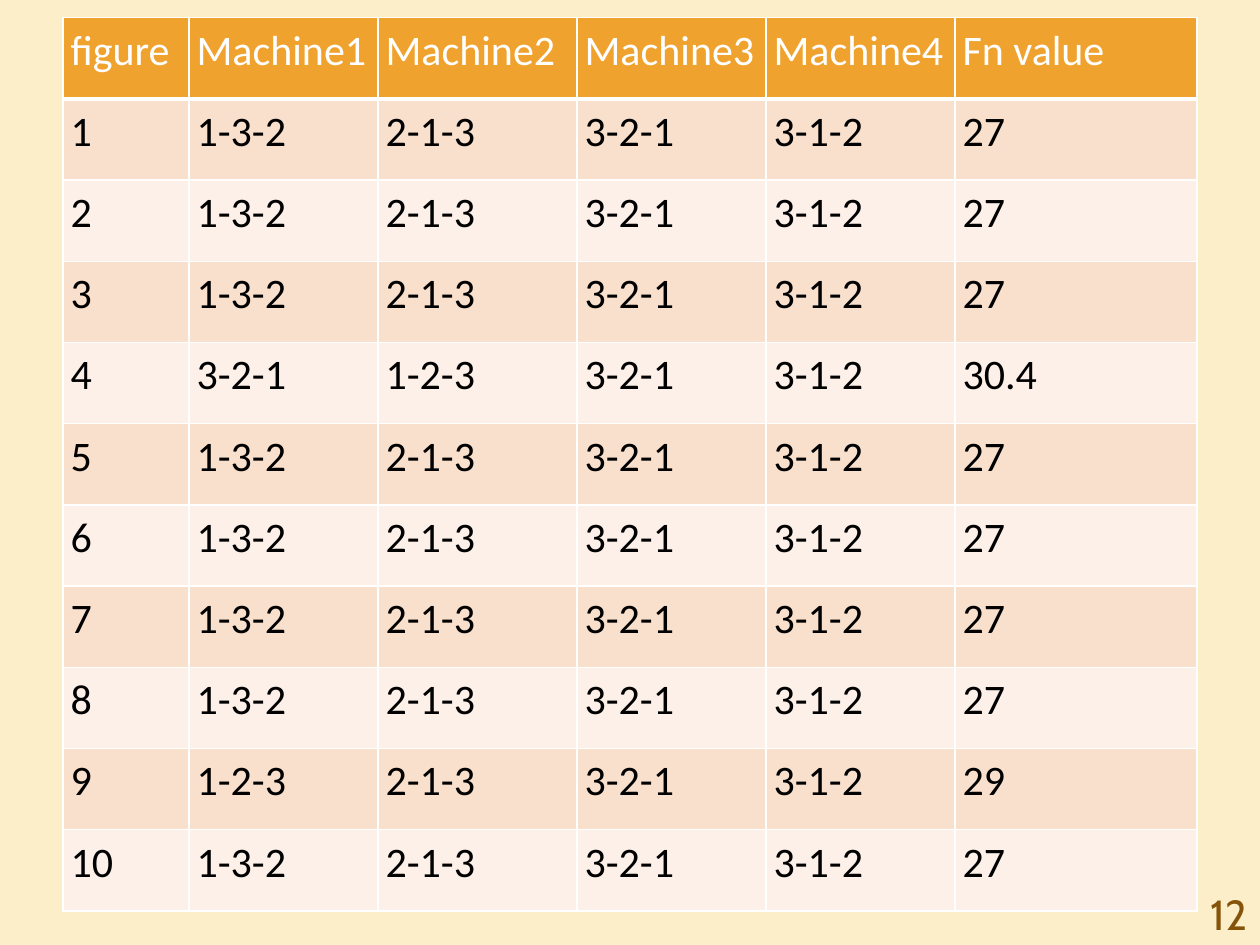
from dataclasses import dataclass

from lxml.etree import SubElement
from pptx import Presentation
from pptx.dml.color import RGBColor
from pptx.enum.text import MSO_ANCHOR, PP_ALIGN
from pptx.oxml.ns import qn
from pptx.util import Inches, Pt


@dataclass(frozen=True)
class Theme:
    """Colours, fonts and type size of the slide."""
    background: str = "FBEEC9"
    header: str = "F0A22E"
    bands: tuple = ("F9E0CD", "FCF0E8")
    rule: str = "FFFFFF"
    header_text: str = "FFFFFF"
    body_text: str = "000000"
    number: str = "85540A"
    table_font: str = "Calibri"
    number_font: str = "Cabin"
    size: int = 24


THEME = Theme()
HEADINGS = ["figure", "Machine1", "Machine2", "Machine3", "Machine4", "Fn value"]
COLUMN_WIDTHS = [1, 1.5, 1.58, 1.5, 1.5, 1.92]
USUAL = ("1-3-2", "2-1-3", "3-2-1", "3-1-2", "27")
EXCEPTIONS = {
    4: ("3-2-1", "1-2-3", "3-2-1", "3-1-2", "30.4"),
    9: ("1-2-3", "2-1-3", "3-2-1", "3-1-2", "29"),
}
ROWS = [(str(n), *EXCEPTIONS.get(n, USUAL)) for n in range(1, 11)]


def write(tf, text, font, color, align=PP_ALIGN.LEFT):
    """Put one formatted run of text in a text frame."""
    p = tf.paragraphs[0]
    p.alignment = align
    r = p.add_run()
    r.text = text
    r.font.name = font
    r.font.size = Pt(THEME.size)
    r.font.bold = False
    r.font.color.rgb = RGBColor.from_string(color)


def set_borders(cell, top=1, bottom=1):
    """Rule all four sides of a cell; widths are in points."""
    tc_pr = cell._tc.get_or_add_tcPr()
    for side, width in (("L", 1), ("R", 1), ("T", top), ("B", bottom)):
        ln = SubElement(tc_pr, qn(f"a:ln{side}"), w=str(Pt(width)))
        fill = SubElement(ln, qn("a:solidFill"))
        SubElement(fill, qn("a:srgbClr"), val=THEME.rule)


def add_schedule(s, left, top, width, height):
    """Add the machine schedule table with a header and banded rows."""
    data = [HEADINGS, *ROWS]
    table = s.shapes.add_table(len(data), len(HEADINGS), Inches(left), Inches(top),
                               Inches(width), Inches(height)).table
    for column, share in zip(table.columns, COLUMN_WIDTHS):
        column.width = Inches(width * share / sum(COLUMN_WIDTHS))
    for i, values in enumerate(data):
        table.rows[i].height = Inches(height / len(data))
        fill = THEME.bands[(i - 1) % 2] if i else THEME.header
        color = THEME.body_text if i else THEME.header_text
        for j, text in enumerate(values):
            cell = table.cell(i, j)
            cell.margin_left = cell.margin_right = Inches(0.06)
            cell.margin_top = cell.margin_bottom = Inches(0.06)
            cell.vertical_anchor = MSO_ANCHOR.TOP
            set_borders(cell, top=3 if i == 1 else 1, bottom=1 if i else 3)
            cell.fill.solid()
            cell.fill.fore_color.rgb = RGBColor.from_string(fill)
            write(cell.text_frame, text, THEME.table_font, color)


def add_page_number(s, text, left, top, width, height):
    """Add the page number, aligned right in its box."""
    sp = s.shapes.add_textbox(Inches(left), Inches(top), Inches(width), Inches(height))
    tf = sp.text_frame
    tf.word_wrap = True
    write(tf, text, THEME.number_font, THEME.number, PP_ALIGN.RIGHT)


def build_slide(prs):
    """Add the schedule slide."""
    s = prs.slides.add_slide(prs.slide_layouts[6])
    s.background.fill.solid()
    s.background.fill.fore_color.rgb = RGBColor.from_string(THEME.background)
    add_schedule(s, 0.5, 0.14, 9, 7.09)
    add_page_number(s, "12", 9.17, 7, 0.83, 0.27)


prs = Presentation()
prs.slide_width, prs.slide_height = Inches(10), Inches(7.5)
build_slide(prs)
prs.save("out.pptx")
